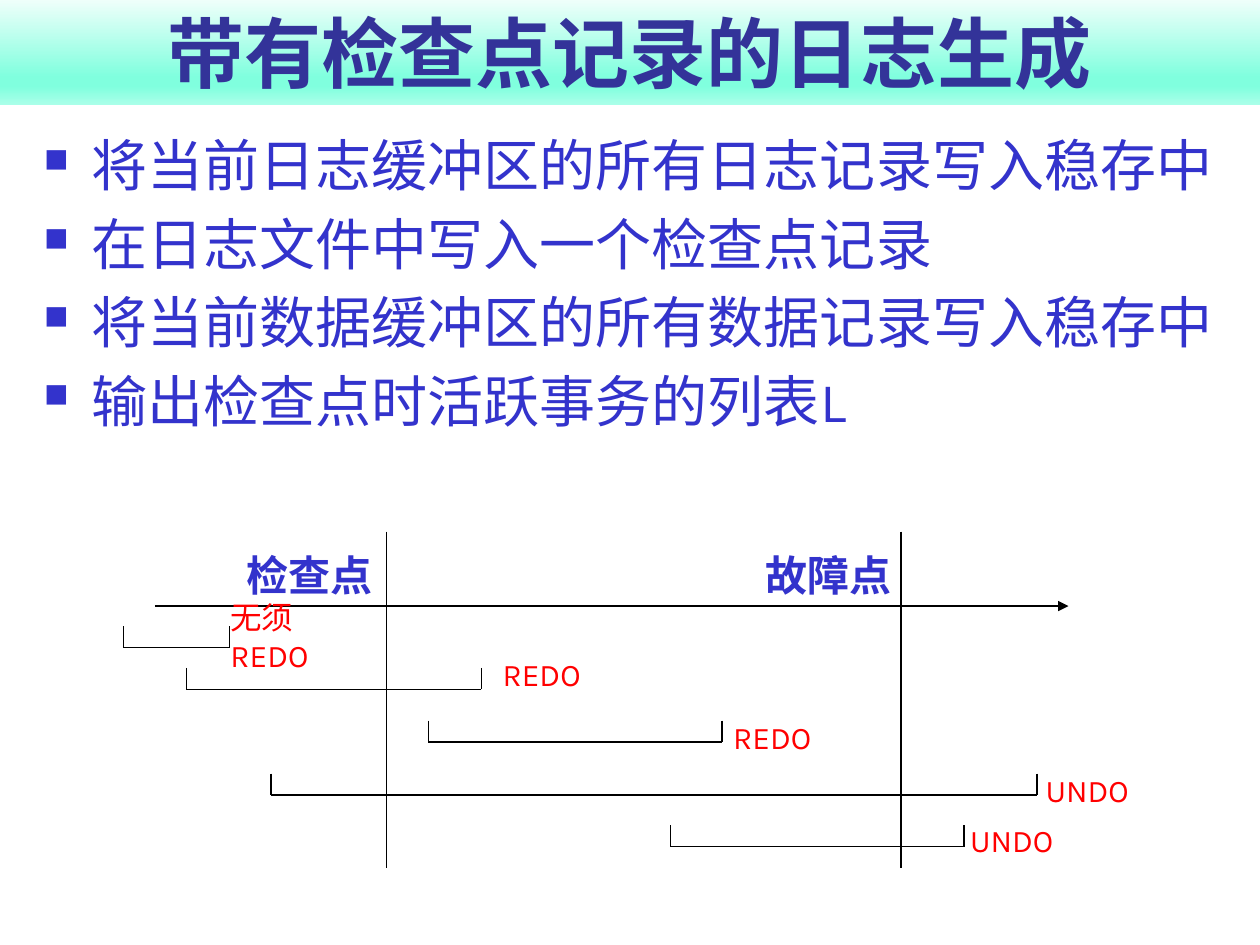
from lxml.etree import SubElement
from pptx import Presentation
from pptx.dml.color import RGBColor
from pptx.enum.shapes import MSO_CONNECTOR, MSO_SHAPE
from pptx.enum.text import MSO_ANCHOR, PP_ALIGN
from pptx.oxml.ns import qn
from pptx.util import Inches, Pt

FONT = "Karla"
BLUE, NAVY, RED, BLACK = "3333CC", "333399", "FF0000", "000000"

TITLE = "带有检查点记录的日志生成"
TITLE_GRADIENT = [(0, "F1FFFB"), (74, "80FFDE"), (83, "80FFDE"), (100, "AAFFE9")]
STEPS = [
    "将当前日志缓冲区的所有日志记录写入稳存中",
    "在日志文件中写入一个检查点记录",
    "将当前数据缓冲区的所有数据记录写入稳存中",
    "输出检查点时活跃事务的列表L",
]

# Timeline: (label, label left, line x)
MOMENTS = [("检查点", 1.86, 3.07), ("故障点", 5.98, 7.15)]
MOMENT_TOP, MOMENT_BOTTOM = 4.22, 6.89
AXIS_LEFT, AXIS_RIGHT, AXIS_Y = 1.23, 8.48, 4.81

# Transactions: (start, end, baseline, label, label left, label top, label width)
TRANSACTIONS = [
    (0.98, 1.82, 5.14, "无须REDO", 1.73, 4.85, 0.9),
    (1.48, 3.82, 5.47, "REDO", 3.89, 5.15, 0.84),
    (3.4, 5.73, 5.89, "REDO", 5.72, 5.65, 0.84),
    (2.15, 8.23, 6.31, "UNDO", 8.2, 6.07, 0.88),
    (5.32, 7.65, 6.72, "UNDO", 7.6, 6.47, 0.88),
]
TICK = 0.17


def color(hex_string):
    return RGBColor.from_string(hex_string)


def format_text(paragraph, size, hex_string, bold=False):
    for run in paragraph.runs:
        run.font.name = FONT
        run.font.size = Pt(size)
        run.font.bold = bold
        run.font.color.rgb = color(hex_string)
        SubElement(run.font._element, qn("a:ea"), typeface=FONT)


def set_space_before(paragraph, percent):
    """Set the gap above as a percentage of the line."""
    spacing = SubElement(paragraph._p.get_or_add_pPr(), qn("a:spcBef"))
    SubElement(spacing, qn("a:spcPct"), val=str(percent * 1000))


def add_bullet(paragraph):
    properties = paragraph._p.get_or_add_pPr()
    properties.set("marL", str(Inches(0.38)))
    properties.set("indent", str(-Inches(0.38)))
    bullet_color = SubElement(properties, qn("a:buClr"))
    SubElement(bullet_color, qn("a:srgbClr"), val=BLUE)
    SubElement(properties, qn("a:buSzPct"), val="60000")
    SubElement(properties, qn("a:buChar"), char="■")


def fill_gradient(shape, stops):
    """Fill from top to bottom with (percent, colour) stops."""
    shape.fill.gradient()
    shape.fill.gradient_angle = 270
    stop_list = shape._element.spPr.find(qn("a:gradFill")).find(qn("a:gsLst"))
    for old_stop in list(stop_list):
        stop_list.remove(old_stop)
    for percent, hex_string in stops:
        stop = SubElement(stop_list, qn("a:gs"), pos=str(percent * 1000))
        SubElement(stop, qn("a:srgbClr"), val=hex_string)


def add_line(shapes, x1, y1, x2, y2):
    line = shapes.add_connector(
        MSO_CONNECTOR.STRAIGHT, Inches(x1), Inches(y1), Inches(x2), Inches(y2))
    line.line.color.rgb = color(BLACK)
    line.line.width = Pt(0.75)
    SubElement(line._element.spPr, qn("a:effectLst"))
    return line


def add_label(shapes, text, left, top, width, height, size, hex_string, bold=False, wrap=False):
    box = shapes.add_textbox(Inches(left), Inches(top), Inches(width), Inches(height))
    frame = box.text_frame
    frame.text = text
    frame.word_wrap = wrap
    frame.vertical_anchor = MSO_ANCHOR.MIDDLE
    format_text(frame.paragraphs[0], size, hex_string, bold)


def add_title(slide):
    banner = slide.shapes.add_shape(
        MSO_SHAPE.RECTANGLE, Inches(0), Inches(-0.01), Inches(10), Inches(0.84))
    banner.shadow.inherit = False
    banner.line.fill.background()
    fill_gradient(banner, TITLE_GRADIENT)
    frame = banner.text_frame
    frame.text = TITLE
    frame.word_wrap = True
    frame.vertical_anchor = MSO_ANCHOR.BOTTOM
    frame.paragraphs[0].alignment = PP_ALIGN.CENTER
    format_text(frame.paragraphs[0], 44, NAVY, bold=True)


def add_steps(slide):
    box = slide.shapes.add_textbox(Inches(0.25), Inches(0.99), Inches(9.54), Inches(3.12))
    frame = box.text_frame
    frame.word_wrap = True
    frame.text = "\n".join(STEPS)
    for paragraph in frame.paragraphs:
        paragraph.alignment = PP_ALIGN.JUSTIFY
        set_space_before(paragraph, 20)
        add_bullet(paragraph)
        format_text(paragraph, 32, BLUE)


def add_timeline(slide):
    shapes = slide.shapes.add_group_shape().shapes
    for label, label_left, x in MOMENTS:
        add_line(shapes, x, MOMENT_TOP, x, MOMENT_BOTTOM)
        add_label(shapes, label, label_left, 4.31, 1.2, 0.5, 24, BLUE, bold=True)
    axis = add_line(shapes, AXIS_LEFT, AXIS_Y, AXIS_RIGHT, AXIS_Y)
    SubElement(axis.line._get_or_add_ln(), qn("a:tailEnd"), type="triangle")
    for start, end, baseline, label, left, top, width in TRANSACTIONS:
        add_line(shapes, start, baseline, end, baseline)
        for x in (start, end):
            add_line(shapes, x, baseline - TICK, x, baseline)
        add_label(shapes, label, left, top, width, 0.4, 18, RED, wrap=label != "REDO" and label != "UNDO")


def main():
    presentation = Presentation()
    presentation.slide_width = Inches(10)
    presentation.slide_height = Inches(7.5)
    slide = presentation.slides.add_slide(presentation.slide_layouts[6])
    add_title(slide)
    add_steps(slide)
    add_timeline(slide)
    presentation.save("out.pptx")


if __name__ == "__main__":
    main()
